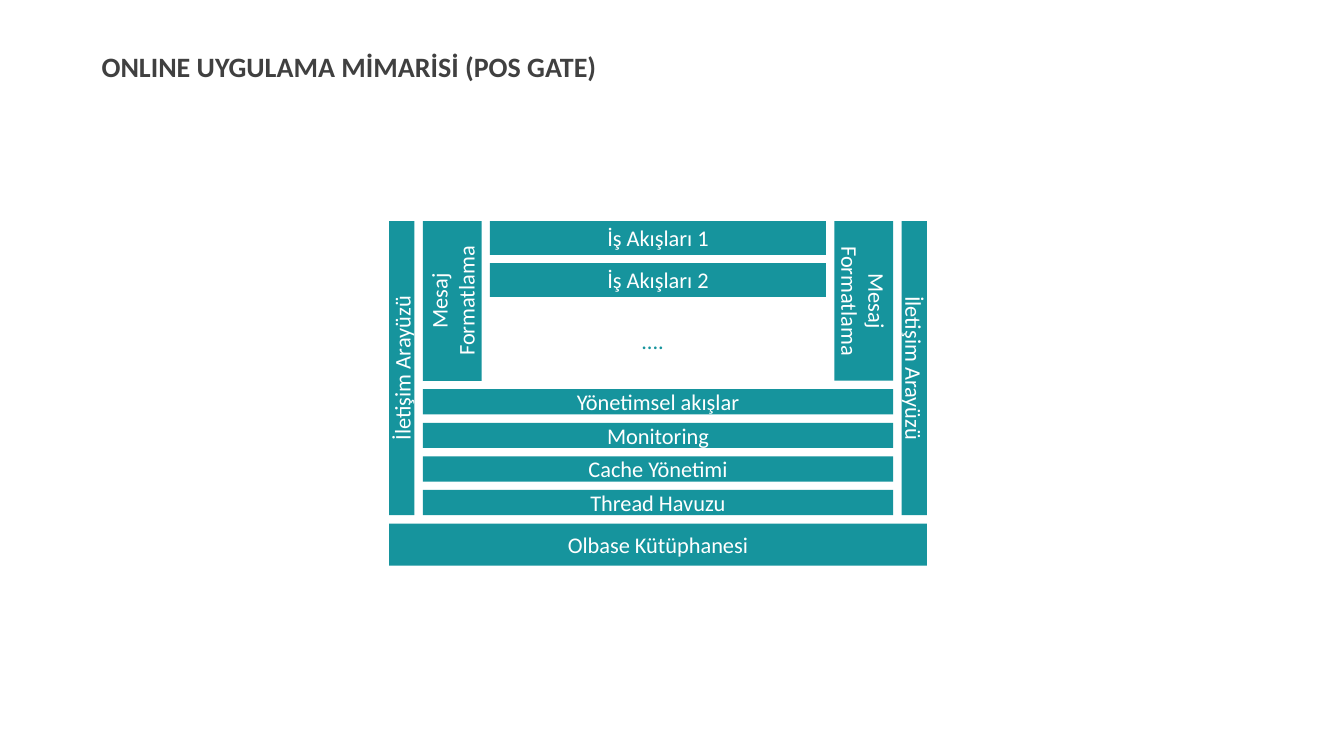
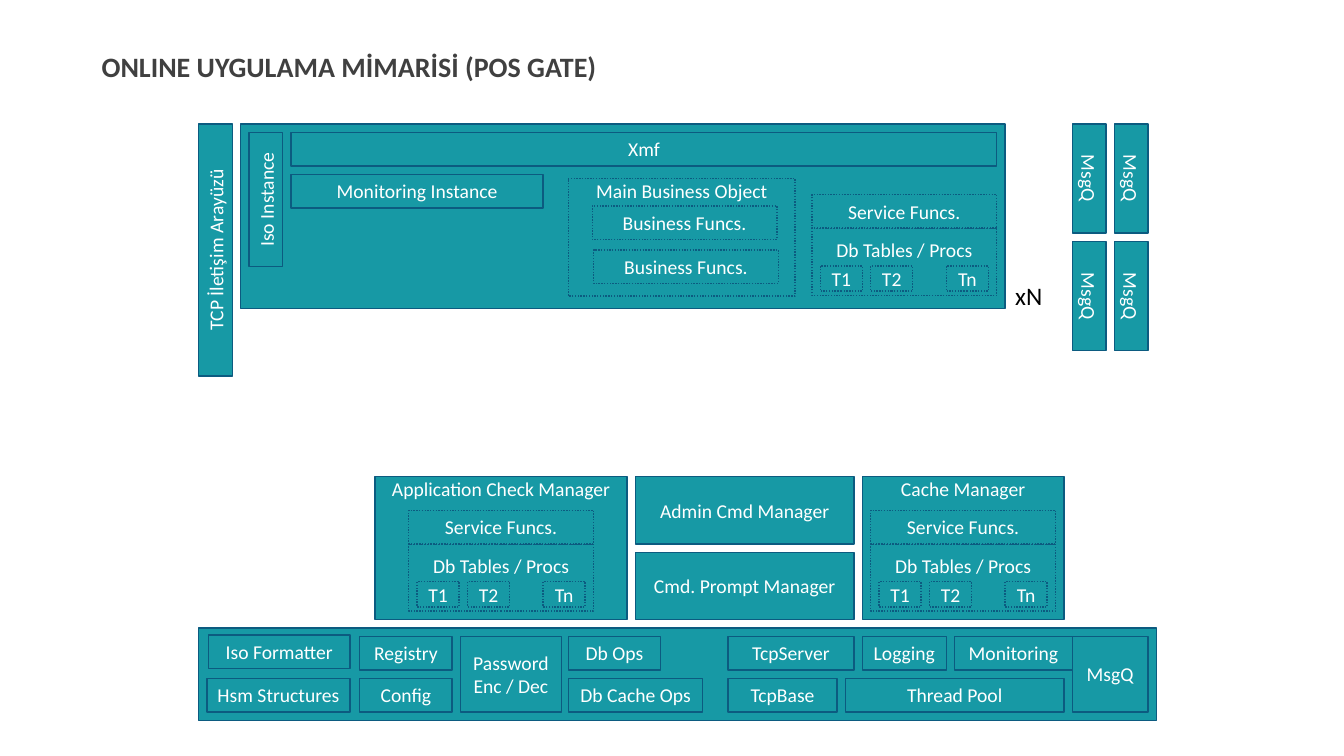
import collections

import pptx
import pptx.dml.color
import pptx.enum.dml
import pptx.enum.shapes
import pptx.enum.text
import pptx.util

Pt = pptx.util.Pt
RGBColor = pptx.dml.color.RGBColor
ANCHOR = pptx.enum.text.MSO_ANCHOR
RECT = pptx.enum.shapes.MSO_SHAPE.RECTANGLE
DOTTED = pptx.enum.dml.MSO_LINE.ROUND_DOT

WHITE = RGBColor(0xFF, 0xFF, 0xFF)
BLACK = RGBColor(0, 0, 0)
GREY = RGBColor(0x40, 0x40, 0x40)
TEAL = RGBColor(0x16, 0x94, 0x9D)
BRIGHT_TEAL = RGBColor(0x17, 0x99, 0xA5)
NAVY = RGBColor(0x0C, 0x5B, 0x80)

FONT = "Calibri"
TITLE = "ONLINE UYGULAMA MİMARİSİ (POS GATE)"
GAP = 6
BAR = 18
ROW = 24

Style = collections.namedtuple("Style", "fill line dash size")
LAYER = Style(TEAL, None, None, 16)
SOLID = Style(BRIGHT_TEAL, NAVY, None, 14)
DOT = SOLID._replace(dash=DOTTED)


def set_text(sp, text, size, color, bold=False):
    p = sp.text_frame.paragraphs[0]
    p.text = text
    for r in p.runs:
        r.font.name = FONT
        r.font.size = Pt(size)
        r.font.bold = bold
        r.font.color.rgb = color
    return p


def add_label(shapes, x, y, w, h, text, size, color, bold=False):
    sp = shapes.add_textbox(Pt(x), Pt(y), Pt(w), Pt(h))
    sp.text_frame.word_wrap = False
    sp.text_frame.auto_size = pptx.enum.text.MSO_AUTO_SIZE.SHAPE_TO_FIT_TEXT
    set_text(sp, text, size, color, bold)


def add_box(shapes, style, x, y, w, h, text="", top=None, turn=0):
    if turn:
        x, y, w, h = x + (w - h) / 2, y + (h - w) / 2, h, w
    sp = shapes.add_shape(RECT, Pt(x), Pt(y), Pt(w), Pt(h))
    sp.rotation = turn
    sp.shadow.inherit = False
    sp.fill.solid()
    sp.fill.fore_color.rgb = style.fill
    if style.line is None:
        sp.line.fill.background()
    else:
        sp.line.color.rgb = style.line
        sp.line.width = Pt(1)
        if style.dash is not None:
            sp.line.dash_style = style.dash
    if text:
        tf = sp.text_frame
        tf.word_wrap = True
        tf.vertical_anchor = ANCHOR.MIDDLE
        if top is not None:
            tf.vertical_anchor = ANCHOR.TOP
            tf.margin_top = Pt(top)
        p = set_text(sp, text, style.size, WHITE)
        p.alignment = pptx.enum.text.PP_ALIGN.CENTER


def add_slide(prs):
    slide = prs.slides.add_slide(prs.slide_layouts[6])
    add_label(slide.shapes, 65.5, 31.7, 371, 32, TITLE, 20, GREY, True)
    return slide.shapes


def add_layers(shapes, x, y, w):
    side_h, format_w, format_h = 210, 42, 114
    inner_x = x + BAR + GAP
    inner_w = w - 2 * (BAR + GAP)
    flow_x = inner_x + format_w + GAP
    flow_w = inner_w - 2 * (format_w + GAP)

    add_box(shapes, LAYER, x, y + side_h + GAP, w, 30, "Olbase Kütüphanesi")
    for side_x, format_x, turn in (
        (x, inner_x, 270),
        (x + w - BAR, inner_x + inner_w - format_w, 90),
    ):
        add_box(shapes, LAYER, side_x, y, BAR, side_h, "İletişim Arayüzü", turn=turn)
        add_box(shapes, LAYER, format_x, y, format_w, format_h, "Mesaj Formatlama", turn=turn)
    for i, text in enumerate(("İş Akışları 1", "İş Akışları 2")):
        add_box(shapes, LAYER, flow_x, y + i * (ROW + GAP), flow_w, ROW, text)
    add_label(shapes, x + 173, y + 72, 31, 27, "....", 16, TEAL)
    services = ("Yönetimsel akışlar", "Monitoring", "Cache Yönetimi", "Thread Havuzu")
    for i, text in enumerate(services):
        row_y = y + format_h + GAP + i * (BAR + GAP)
        add_box(shapes, LAYER, inner_x, row_y, inner_w, BAR, text)


def add_service_block(shapes, x, y):
    grp = shapes.add_group_shape().shapes
    add_box(grp, DOT, x, y + ROW, 132, 48, "Db Tables / Procs", top=7)
    for dx, text in ((6, "T1"), (42, "T2"), (96, "Tn")):
        add_box(grp, DOT, x + dx, y + 51, 30, BAR, text)
    add_box(grp, DOT, x, y, 132, ROW, "Service Funcs.")


def add_business_object(shapes, x, y):
    grp = shapes.add_group_shape().shapes
    add_box(grp, DOT, x, y, 162, 84, "Main Business Object", top=0)
    for dx, dy in ((17, 19.5), (18, 51)):
        add_box(grp, DOT, x + dx, y + dy, 132, ROW, "Business Funcs.")


def add_instance(shapes, x, y):
    add_box(shapes, SOLID, x, y, 546, 132)
    add_box(shapes, SOLID, x + 6, y + 6, ROW, 96, "Iso Instance", turn=270)
    add_box(shapes, SOLID, x + 36, y + 6, 504, ROW, "Xmf")
    add_service_block(shapes, x + 408, y + 50.5)
    add_business_object(shapes, x + 234, y + 39)
    add_box(shapes, SOLID, x + 36, y + 36, 180, ROW, "Monitoring Instance")
    add_label(shapes, x + 546, y + 108.5, 34, 29, "xN", 18, BLACK)


def add_queues(shapes, x, y):
    for col in range(2):
        for row in range(2):
            add_box(shapes, SOLID, x + col * (ROW + GAP), y + row * (78 + GAP),
                    ROW, 78, "MsgQ", turn=90)


def add_managers(shapes, x, y):
    for dx, w, block_dx, text in (
        (0, 180, 24, "Application Check Manager"),
        (348, 144, 6, "Cache Manager"),
    ):
        add_box(shapes, SOLID, x + dx, y, w, 102, text, top=0.5)
        add_service_block(shapes, x + dx + block_dx, y + 24)
    for i, text in enumerate(("Admin Cmd Manager", "Cmd. Prompt Manager")):
        add_box(shapes, SOLID, x + 186, y + i * (48 + GAP), 156, 48, text)


def add_library(shapes, x, y):
    add_box(shapes, SOLID, x, y, 684, 66)
    for dx, dy, w, h, text in (
        (7, 5, 101, ROW, "Iso Formatter"),
        (6, 36, 102, ROW, "Hsm Structures"),
        (115, 6, 66, ROW, "Registry"),
        (115, 36, 66, ROW, "Config"),
        (187, 6, 72, 54, "Password Enc / Dec"),
        (264, 6, 66, ROW, "Db Ops"),
        (264, 36, 96, ROW, "Db Cache Ops"),
        (378, 6, 90, ROW, "TcpServer"),
        (378, 36, 78, ROW, "TcpBase"),
        (474, 6, 60, ROW, "Logging"),
        (462, 36, 156, ROW, "Thread Pool"),
        (540, 6, 84, ROW, "Monitoring"),
        (624, 6, 54, 54, "MsgQ"),
    ):
        add_box(shapes, SOLID, x + dx, y + dy, w, h, text)


def add_components(shapes, x, y):
    add_library(shapes, x, y + 360)
    add_box(shapes, SOLID, x, y, ROW, 180, "TCP İletişim Arayüzü", turn=270)
    add_queues(shapes, x + 624, y)
    add_managers(shapes, x + 126, y + 252)
    add_instance(shapes, x + ROW + GAP, y)


def main():
    prs = pptx.Presentation()
    prs.slide_width = Pt(960)
    prs.slide_height = Pt(540)
    add_layers(add_slide(prs), 278, 158, 384)
    add_components(add_slide(prs), 142, 88.5)
    prs.save("out.pptx")


if __name__ == "__main__":
    main()
